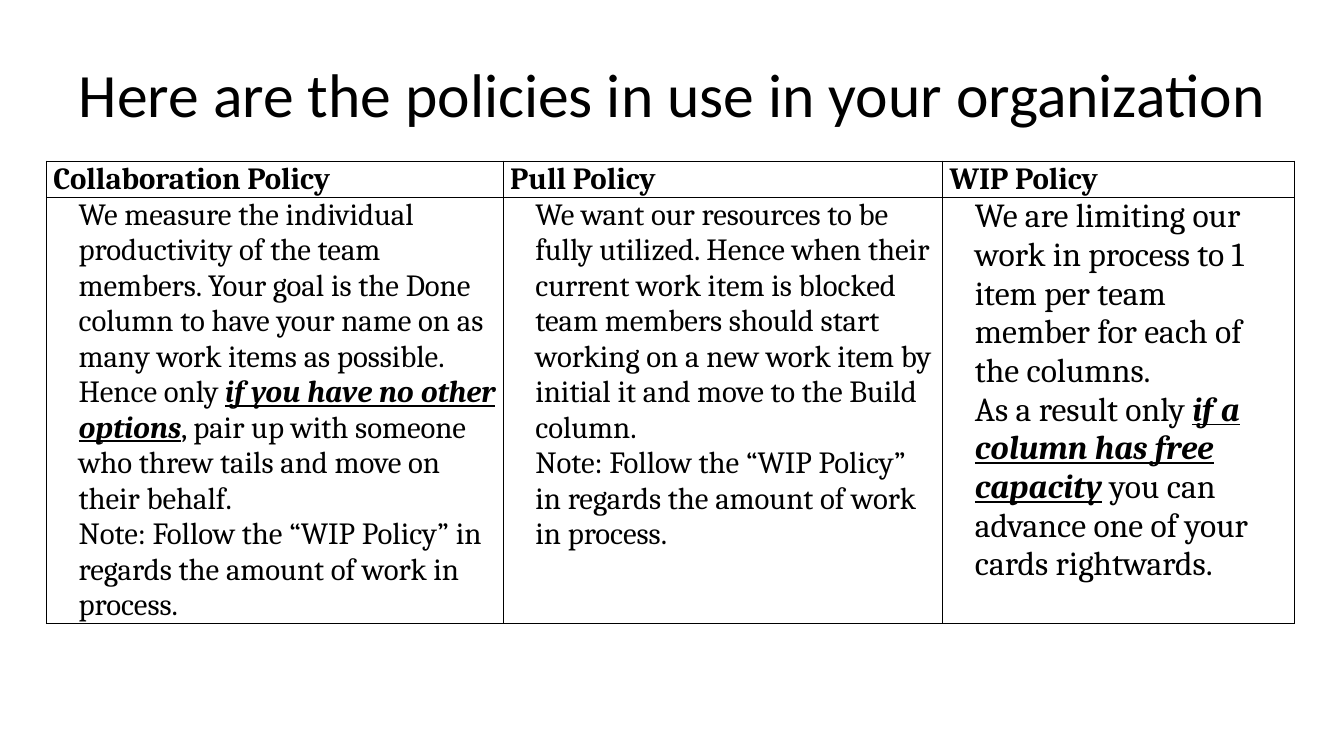
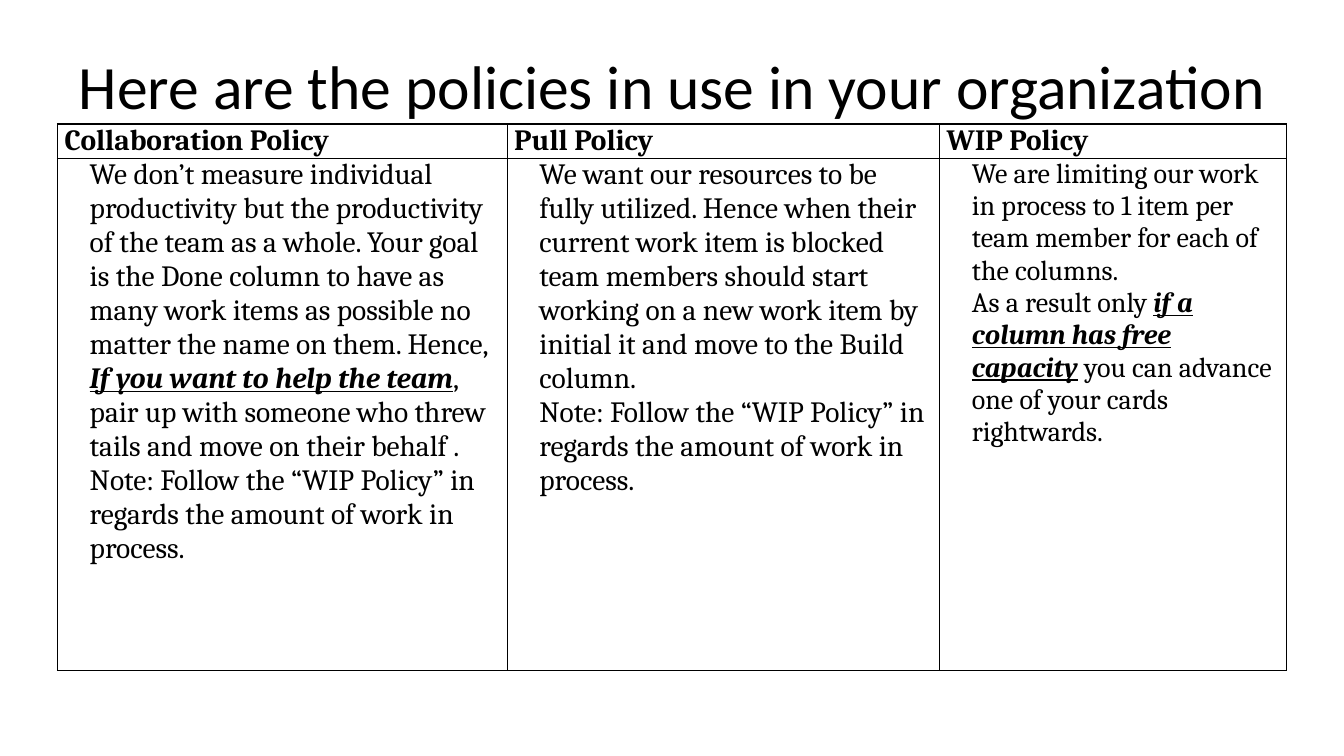
from dataclasses import dataclass

from lxml import etree
from pptx import Presentation
from pptx import util as u
from pptx.dml import color
from pptx.enum import text
from pptx.oxml import ns

# Shared style
INK, PAPER = "000000", "FFFFFF"
HEAD_FONT, BODY_FONT = "Calibri", "Cambria"
TITLE = "Here are the policies in use in your organization "
HEADS = ("Collaboration Policy", "Pull Policy", "WIP Policy")


@dataclass(frozen=True)
class Run:
    words: str
    strong: bool = False  # bold, italic and underlined


Para = tuple[Run, ...]


@dataclass(frozen=True)
class Page:
    title_top: float
    left: float
    top: float
    cols: tuple[float, ...]
    rows: tuple[float, float]
    size: int
    wip_size: int
    team: tuple[Para, ...]


# Wording used on both slides
NOTE: Para = (Run("Note: Follow the “WIP Policy” in regards the amount of work in process."),)
PULL: tuple[Para, ...] = (
    (Run("We want our resources to be fully utilized. Hence when their current work item is "
         "blocked team members should start working on a new work item by initial it and "
         "move to the Build column."),),
    NOTE,
)
WIP: tuple[Para, ...] = (
    (Run("We are limiting our work in process to 1 item per team member for each of the "
         "columns."),),
    (Run("As a result only "), Run("if a column has free capacity", True),
     Run(" you can advance one of your cards rightwards.")),
)

PAGES = (
    Page(0.3, 0.46, 1.6, (4.53, 4.36, 3.49), (0.36, 4.22), 22, 24, (
        (Run("We measure the individual productivity of the team members. Your goal is the "
             "Done column to have your name on as many work items as possible. Hence only "),
         Run("if you have no other options", True),
         Run(", pair up with someone who threw tails and move on their behalf.")),
        NOTE,
    )),
    Page(0.22, 0.57, 1.23, (4.46, 4.29, 3.44), (0.34, 5.08), 21, 20, (
        (Run("We don’t measure individual productivity but the productivity of the team as a "
             "whole. Your goal is the Done column to have as many work items as possible no "
             "matter the name on them. Hence,"),),
        (Run("If you want to help the team", True),
         Run(", pair up with someone who threw tails and move on their behalf .")),
        NOTE,
    )),
)


def tint(code: str) -> color.RGBColor:
    return color.RGBColor.from_string(code)


def add_run(para, words: str, font: str, size: int, bold: bool = False):
    run = para.add_run()
    run.text = words
    run.font.name, run.font.size, run.font.bold = font, u.Pt(size), bold
    run.font.color.rgb = tint(INK)
    return run


def add_title(slide, top: float) -> None:
    box = slide.shapes.title
    box.left, box.top = u.Inches(0.67), u.Inches(top)
    box.width, box.height = u.Inches(12), u.Inches(1.25)
    frame = box.text_frame
    frame.word_wrap = True
    frame.auto_size = text.MSO_AUTO_SIZE.NONE
    frame.vertical_anchor = text.MSO_ANCHOR.MIDDLE
    para = frame.paragraphs[0]
    para.alignment = text.PP_ALIGN.CENTER
    add_run(para, TITLE, HEAD_FONT, 44)


def style_cell(cell) -> None:
    """Set margins, borders and fill; borders must come before the fill."""
    cell.margin_left = cell.margin_right = u.Inches(0.07)
    cell.margin_top = cell.margin_bottom = 0
    props = cell._tc.get_or_add_tcPr()
    for side in "LRTB":
        line = etree.SubElement(props, ns.qn(f"a:ln{side}"), w=str(u.Pt(1)))
        fill = etree.SubElement(line, ns.qn("a:solidFill"))
        etree.SubElement(fill, ns.qn("a:srgbClr"), val=INK)
    cell.fill.solid()
    cell.fill.fore_color.rgb = tint(PAPER)


def fill_cell(cell, paras: tuple[Para, ...], size: int) -> None:
    frame = cell.text_frame
    for i, runs in enumerate(paras):
        para = frame.paragraphs[0] if i == 0 else frame.add_paragraph()
        props = para._p.get_or_add_pPr()
        props.set("marL", str(u.Inches(0.25)))
        props.set("indent", "0")
        for item in runs:
            run = add_run(para, item.words, BODY_FONT, size, item.strong)
            run.font.italic = run.font.underline = item.strong


def add_grid(slide, page: Page) -> None:
    frame = slide.shapes.add_table(
        2, len(HEADS), u.Inches(page.left), u.Inches(page.top),
        u.Inches(sum(page.cols)), u.Inches(sum(page.rows)))
    table = frame.table
    table.first_row = table.horz_banding = False
    for row, high in zip(table.rows, page.rows):
        row.height = u.Inches(high)
    bodies = ((page.team, page.size), (PULL, page.size), (WIP, page.wip_size))
    for i, (head, wide, body) in enumerate(zip(HEADS, page.cols, bodies)):
        table.columns[i].width = u.Inches(wide)
        top, low = table.cell(0, i), table.cell(1, i)
        style_cell(top)
        style_cell(low)
        add_run(top.text_frame.paragraphs[0], head, BODY_FONT, page.size, True)
        fill_cell(low, *body)


def main() -> None:
    deck = Presentation()
    deck.slide_width, deck.slide_height = u.Inches(13.33), u.Inches(7.5)
    for page in PAGES:
        slide = deck.slides.add_slide(deck.slide_layouts[5])  # title only
        add_title(slide, page.title_top)
        add_grid(slide, page)
    deck.save("out.pptx")


if __name__ == "__main__":
    main()
